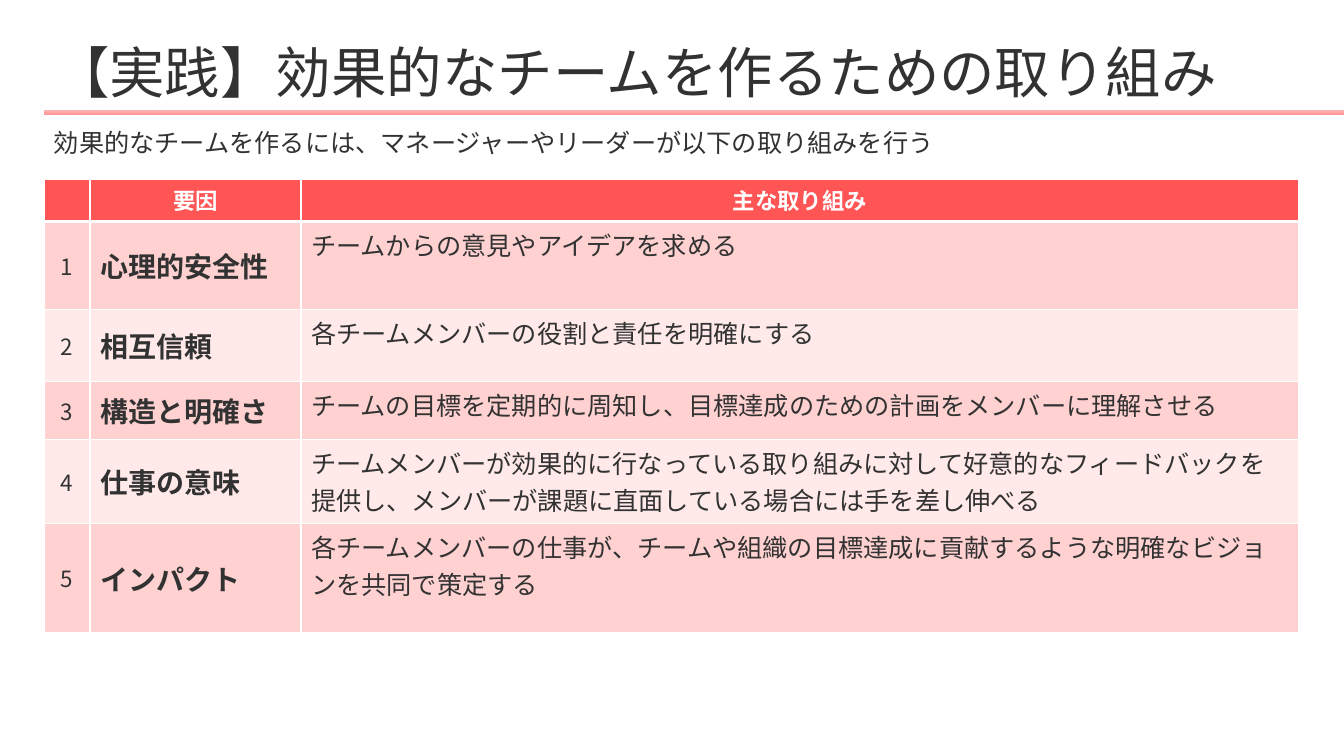
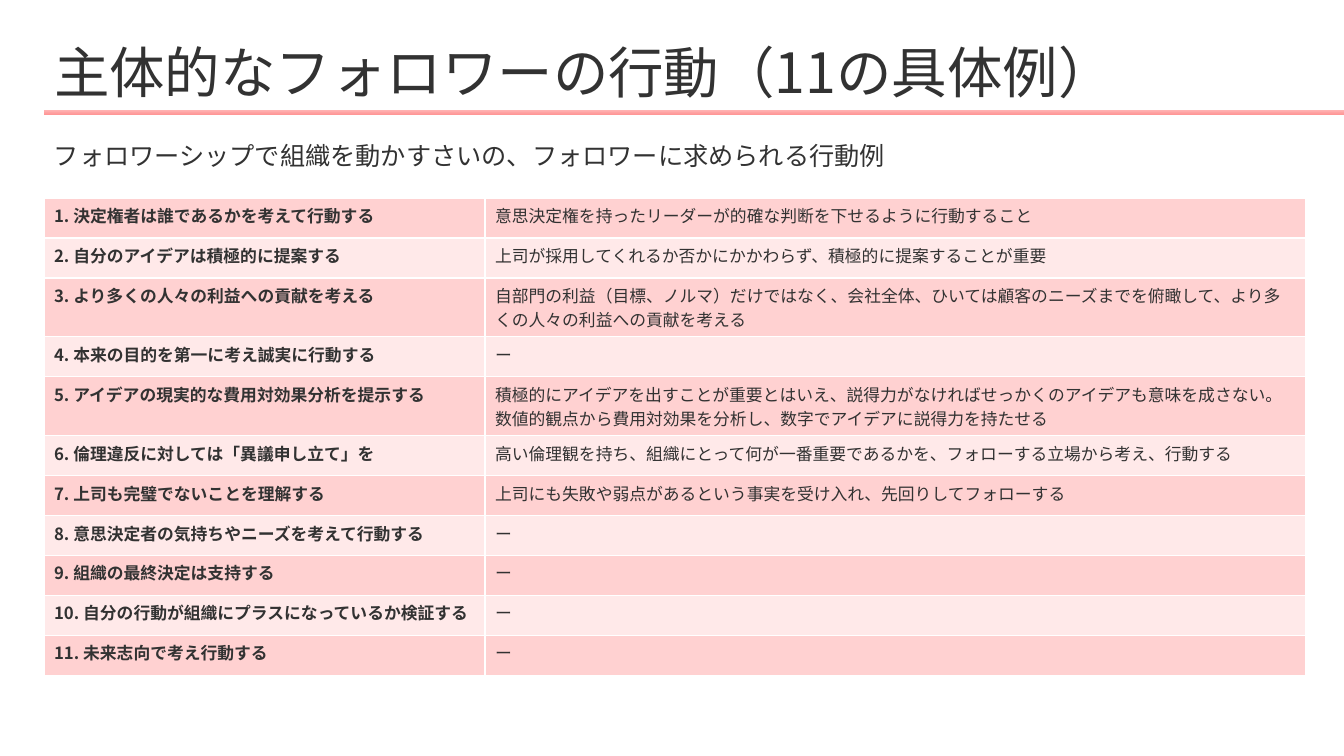
import lxml.etree
import pptx
import pptx.dml.color
import pptx.enum.shapes
import pptx.enum.text
import pptx.oxml.ns
import pptx.util

EMU_PER_PX = 914400 / 100.8
FONT = "Noto Sans CJK JP"
COLORS = {
    "text": "323232",
    "white": "FFFFFF",
    "header": "FF5555",
    "dark_row": "FFD1D1",
    "light_row": "FFE9E9",
    "bar_top": "FFB4B4",
    "bar_bottom": "FF9595",
}
LEFT = 44
CENTER = pptx.enum.text.PP_ALIGN.CENTER
MIDDLE = pptx.enum.text.MSO_ANCHOR.MIDDLE
TOP = pptx.enum.text.MSO_ANCHOR.TOP

PRACTICES = [
    ("心理的安全性", "チームからの意見やアイデアを求める"),
    ("相互信頼", "各チームメンバーの役割と責任を明確にする"),
    ("構造と明確さ", "チームの目標を定期的に周知し、目標達成のための計画をメンバーに理解させる"),
    ("仕事の意味", "チームメンバーが効果的に行なっている取り組みに対して好意的なフィードバックを"
     "提供し、メンバーが課題に直面している場合には手を差し伸べる"),
    ("インパクト", "各チームメンバーの仕事が、チームや組織の目標達成に貢献するような明確なビジョンを"
     "共同で策定する"),
]
BEHAVIORS = [
    ("決定権者は誰であるかを考えて行動する", "意思決定権を持ったリーダーが的確な判断を下せるように行動すること"),
    ("自分のアイデアは積極的に提案する", "上司が採用してくれるか否かにかかわらず、積極的に提案することが重要"),
    ("より多くの人々の利益への貢献を考える", "自部門の利益（目標、ノルマ）だけではなく、会社全体、"
     "ひいては顧客のニーズまでを俯瞰して、より多くの人々の利益への貢献を考える"),
    ("本来の目的を第一に考え誠実に行動する", "ー"),
    ("アイデアの現実的な費用対効果分析を提示する", "積極的にアイデアを出すことが重要とはいえ、"
     "説得力がなければせっかくのアイデアも意味を成さない。"
     "数値的観点から費用対効果を分析し、数字でアイデアに説得力を持たせる"),
    ("倫理違反に対しては「異議申し立て」を", "高い倫理観を持ち、組織にとって何が一番重要であるかを、"
     "フォローする立場から考え、行動する"),
    ("上司も完璧でないことを理解する", "上司にも失敗や弱点があるという事実を受け入れ、先回りしてフォローする"),
    ("意思決定者の気持ちやニーズを考えて行動する", "ー"),
    ("組織の最終決定は支持する", "ー"),
    ("自分の行動が組織にプラスになっているか検証する", "ー"),
    ("未来志向で考え行動する", "ー"),
]


def px(length):
    return pptx.util.Emu(round(length * EMU_PER_PX))


def color(name):
    return pptx.dml.color.RGBColor.from_string(COLORS[name])


def add_element(parent, tag, **attributes):
    return lxml.etree.SubElement(parent, pptx.oxml.ns.qn(tag), **attributes)


class Deck:
    """Holds the shared style and the slide being built."""

    def __init__(self):
        self.presentation = pptx.Presentation()
        self.presentation.slide_width = px(1344)
        self.presentation.slide_height = px(756)
        self.slide = None

    def start_slide(self, title):
        self.slide = self.presentation.slides.add_slide(self.presentation.slide_layouts[5])
        self.add_bar()
        shape = self.slide.shapes.title
        shape.left, shape.top, shape.width, shape.height = map(px, (LEFT, 39, 1263, 74))
        frame = shape.text_frame
        frame.word_wrap = True
        frame.auto_size = pptx.enum.text.MSO_AUTO_SIZE.NONE
        frame.vertical_anchor = MIDDLE
        paragraph = frame.paragraphs[0]
        paragraph.alignment = pptx.enum.text.PP_ALIGN.LEFT
        paragraph.line_spacing = 0.9
        self.add_run(paragraph, title, 39.6)

    def add_bar(self):
        bar = self.slide.shapes.add_shape(
            pptx.enum.shapes.MSO_SHAPE.RECTANGLE, px(LEFT), px(110), px(1300), px(5))
        bar.shadow.inherit = False
        bar.line.fill.background()
        bar.fill.gradient()
        bar.fill.gradient_angle = 270
        for stop, name in zip(bar.fill.gradient_stops, ("bar_top", "bar_bottom")):
            stop.color.rgb = color(name)

    def add_run(self, paragraph, text, size, bold=False, color_name="text"):
        run = paragraph.add_run()
        run.text = text
        run.font.size = pptx.util.Pt(size)
        run.font.bold = bold
        run.font.color.rgb = color(color_name)
        run.font.name = FONT
        add_element(run.font._element, "a:ea", typeface=FONT)

    def add_lead(self, text, top, width):
        box = self.slide.shapes.add_textbox(px(LEFT), px(top), px(width), px(40))
        box.text_frame.word_wrap = True
        box.text_frame.auto_size = pptx.enum.text.MSO_AUTO_SIZE.SHAPE_TO_FIT_TEXT
        self.add_run(box.text_frame.paragraphs[0], text, 18)

    def add_table(self, top, widths, heights):
        frame = self.slide.shapes.add_table(
            len(heights), len(widths), px(LEFT), px(top), px(sum(widths)), px(sum(heights)))
        table = frame.table
        for column, width in zip(table.columns, widths):
            column.width = px(width)
        for row, height in zip(table.rows, heights):
            row.height = px(height)
        return table

    def fill_cell(self, cell, text, size, fill, bold=False, color_name="text",
                  alignment=None, anchor=TOP, top_border=1, bottom_border=1):
        properties = cell._tc.get_or_add_tcPr()
        borders = {"L": 1, "R": 1, "T": top_border, "B": bottom_border}
        for side, points in borders.items():
            line = add_element(properties, "a:ln" + side, w=str(pptx.util.Pt(points)))
            add_element(add_element(line, "a:solidFill"), "a:srgbClr", val=COLORS["white"])
        cell.fill.solid()
        cell.fill.fore_color.rgb = color(fill)
        cell.vertical_anchor = anchor
        paragraph = cell.text_frame.paragraphs[0]
        paragraph.alignment = alignment
        if text:
            self.add_run(paragraph, text, size, bold, color_name)
        else:
            add_element(paragraph._p, "a:endParaRPr", sz=str(size * 100))


def row_fill(number):
    return "dark_row" if number % 2 else "light_row"


def build_practices(deck):
    deck.start_slide("【実践】効果的なチームを作るための取り組み")
    table = deck.add_table(179, (46, 211, 998), (42, 88, 72, 58, 84, 109))
    for column, heading in enumerate(("", "要因", "主な取り組み")):
        deck.fill_cell(table.cell(0, column), heading, 16, "header", bold=True,
                       color_name="white", alignment=CENTER, bottom_border=3)
    for number, (factor, practice) in enumerate(PRACTICES, 1):
        style = {"fill": row_fill(number), "top_border": 3 if number == 1 else 1}
        deck.fill_cell(table.cell(number, 0), str(number), 16,
                       alignment=CENTER, anchor=MIDDLE, **style)
        deck.fill_cell(table.cell(number, 1), factor, 20, bold=True, anchor=MIDDLE, **style)
        deck.fill_cell(table.cell(number, 2), practice, 18, **style)
    deck.add_lead("効果的なチームを作るには、マネージャーやリーダーが以下の取り組みを行う", 122, 1264)


def build_behaviors(deck):
    deck.start_slide("主体的なフォロワーの行動（11の具体例）")
    table = deck.add_table(198, (441, 821), [40] * len(BEHAVIORS))
    for number, (behavior, detail) in enumerate(BEHAVIORS, 1):
        fill = row_fill(number)
        deck.fill_cell(table.cell(number - 1, 0), f"{number}. {behavior}", 12, fill, bold=True)
        deck.fill_cell(table.cell(number - 1, 1), detail, 12, fill)
    deck.add_lead("フォロワーシップで組織を動かすさいの、フォロワーに求められる行動例", 135, 1060)


def main():
    deck = Deck()
    build_practices(deck)
    build_behaviors(deck)
    deck.presentation.save("out.pptx")


if __name__ == "__main__":
    main()
